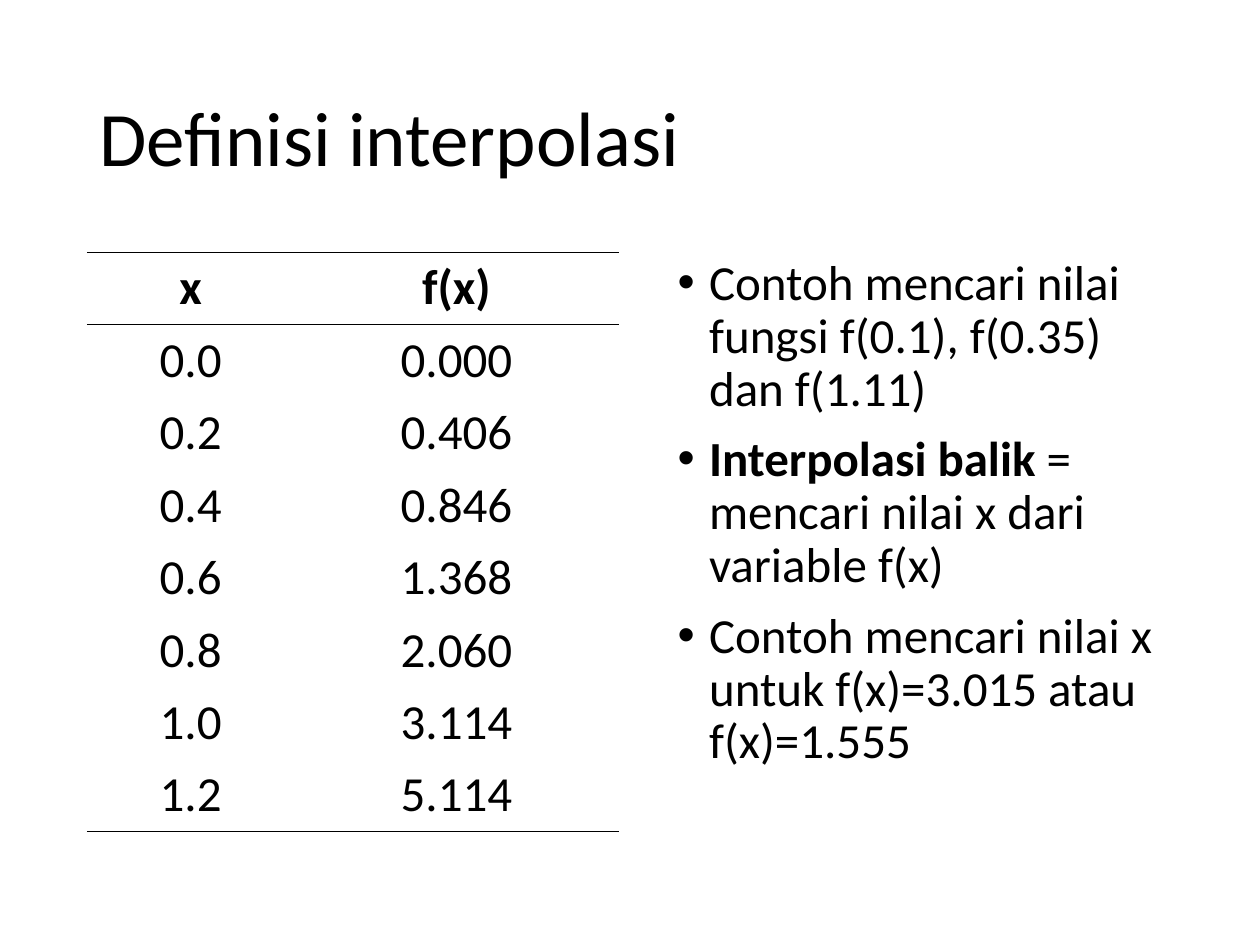
from lxml.etree import SubElement
from pptx import Presentation
from pptx.dml.color import RGBColor
from pptx.enum.text import MSO_ANCHOR, PP_ALIGN
from pptx.oxml.ns import qn
from pptx.util import Inches, Pt

FONT = "Calibri"
INK = "000000"
BODY_SIZE = 28
LEFT, TOP = 0.69, 2

TITLE = "Definisi interpolasi"
ROWS = [
    ("x", "f(x)"),
    ("0.0", "0.000"),
    ("0.2", "0.406"),
    ("0.4", "0.846"),
    ("0.6", "1.368"),
    ("0.8", "2.060"),
    ("1.0", "3.114"),
    ("1.2", "5.114"),
]
COLUMN_SHARES = (0.39, 0.61)
# Each bullet is a bold lead followed by plain text.
BULLETS = [
    ("", "Contoh mencari nilai fungsi f(0.1), f(0.35) dan f(1.11)"),
    ("Interpolasi balik", " = mencari nilai x dari variable f(x)"),
    ("", "Contoh mencari nilai x untuk f(x)=3.015 atau f(x)=1.555"),
]


def color(value):
    return RGBColor.from_string(value)


def style_font(font, size, bold=False):
    font.name = FONT
    font.size = Pt(size)
    font.bold = bold
    font.color.rgb = color(INK)


def add_text_frame(slide, box):
    text_frame = slide.shapes.add_textbox(*map(Inches, box)).text_frame
    text_frame.word_wrap = True
    return text_frame


def add_title(slide, box):
    text_frame = add_text_frame(slide, box)
    text_frame.vertical_anchor = MSO_ANCHOR.MIDDLE
    text_frame.text = TITLE
    paragraph = text_frame.paragraphs[0]
    paragraph.line_spacing = 0.9
    style_font(paragraph.runs[0].font, 44)


def set_borders(cell, ruled_sides):
    """Draw a thin rule on the given sides and clear the others."""
    properties = cell._tc.get_or_add_tcPr()
    for side in "LRTB":
        line = SubElement(properties, qn(f"a:ln{side}"))
        if side in ruled_sides:
            line.set("w", str(Pt(0.45)))
            fill = SubElement(line, qn("a:solidFill"))
            SubElement(fill, qn("a:srgbClr"), val=INK)
        else:
            SubElement(line, qn("a:noFill"))


def add_value_table(slide, box):
    width, height = box[2:]
    table = slide.shapes.add_table(
        len(ROWS), len(COLUMN_SHARES), *map(Inches, box)
    ).table
    table.horz_banding = False
    for column, share in zip(table.columns, COLUMN_SHARES):
        column.width = Inches(width * share)
    ruled_sides = {0: "TB", 1: "T", len(ROWS) - 1: "B"}
    for row_index, values in enumerate(ROWS):
        table.rows[row_index].height = Inches(height / len(ROWS))
        for column_index, value in enumerate(values):
            cell = table.cell(row_index, column_index)
            set_borders(cell, ruled_sides.get(row_index, ""))
            cell.fill.background()
            cell.text = value
            paragraph = cell.text_frame.paragraphs[0]
            paragraph.alignment = PP_ALIGN.CENTER
            style_font(paragraph.runs[0].font, BODY_SIZE, row_index == 0)


def set_bullet(paragraph):
    properties = paragraph._p.get_or_add_pPr()
    indent = Inches(0.25)
    properties.set("marL", str(indent))
    properties.set("indent", str(-indent))
    bullet_color = SubElement(properties, qn("a:buClr"))
    SubElement(bullet_color, qn("a:srgbClr"), val=INK)
    SubElement(properties, qn("a:buFont"), typeface="Arial")
    SubElement(properties, qn("a:buChar"), char="•")


def add_bullets(slide, box):
    text_frame = add_text_frame(slide, box)
    for index, (lead, rest) in enumerate(BULLETS):
        paragraph = text_frame.add_paragraph() if index else text_frame.paragraphs[0]
        set_bullet(paragraph)
        paragraph.line_spacing = 0.9
        paragraph.space_before = Pt(10 if index else 0)
        for text, bold in ((lead, True), (rest, False)):
            if text:
                run = paragraph.add_run()
                run.text = text
                style_font(run.font, BODY_SIZE, bold)


def main():
    presentation = Presentation()
    presentation.slide_width = Inches(10)
    presentation.slide_height = Inches(7.5)
    slide = presentation.slides.add_slide(presentation.slide_layouts[6])
    add_title(slide, (LEFT, 0.4, 8.63, 1.45))
    add_value_table(slide, (LEFT, TOP, 4.22, 4.6))
    add_bullets(slide, (5.28, TOP, 4.03, 4.24))
    presentation.save("out.pptx")


if __name__ == "__main__":
    main()
